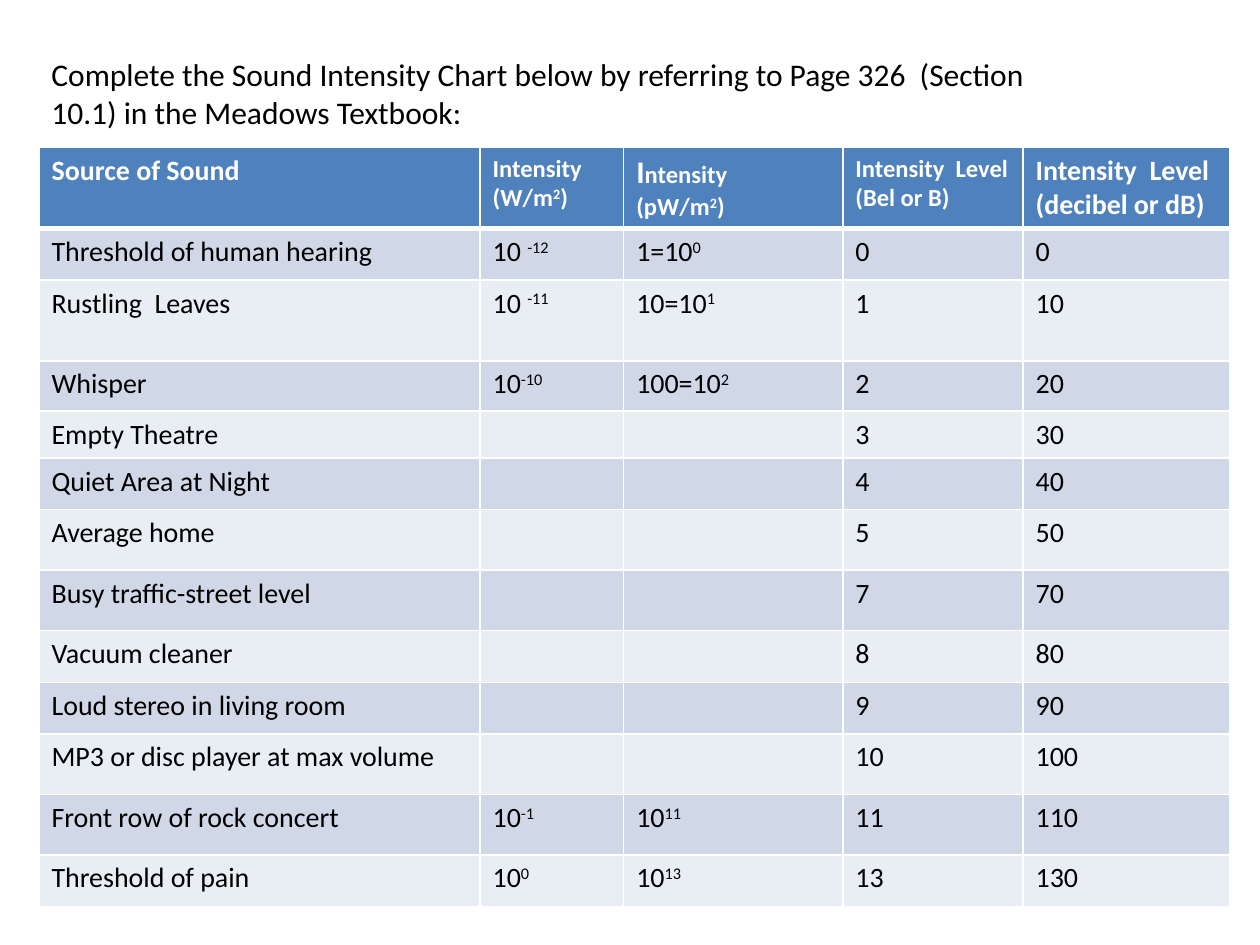
import dataclasses
import itertools
import lxml.etree
import pptx
import pptx.dml.color
import pptx.oxml.ns
import pptx.util

Inches = pptx.util.Inches
Pt = pptx.util.Pt
qn = pptx.oxml.ns.qn

FONT = "Calibri"
COLORS = {
    "white": "FFFFFF",
    "black": "000000",
    "head": "4F81BD",
    "odd": "D0D8E8",
    "even": "E9EDF4",
}


@dataclasses.dataclass
class Style:
    fill: str
    ink: str
    bold: bool
    base: float


@dataclasses.dataclass
class Source:
    name: str
    watts: str
    pico: str
    bel: int
    high: float

    def texts(self) -> list[str]:
        return [self.name, self.watts, self.pico, str(self.bel), str(self.bel * 10)]


HEADS = [
    ("Source of Sound", 16),
    ("Intensity\n(W/m^2^)", 14),
    ("I^^ntensity\n(pW/m^2^)", 14),
    ("Intensity  Level\n(Bel or B)", 14),
    ("Intensity  Level\n(decibel or dB)", 16),
]
WIDTHS = [3.5, 1.14, 1.74, 1.43, 1.64]
TOP = 0.61
SOUNDS = [
    Source("Threshold of human hearing", "10 ^-12", "1=10^0", 0, 0.41),
    Source("Rustling  Leaves", "10 ^-11", "10=10^1", 1, 0.64),
    Source("Whisper", "10^-10", "100=10^2", 2, 0.4),
    Source("Empty Theatre", "", "", 3, 0.34),
    Source("Quiet Area at Night", "", "", 4, 0.41),
    Source("Average home", "", "", 5, 0.48),
    Source("Busy traffic-street level", "", "", 7, 0.48),
    Source("Vacuum cleaner", "", "", 8, 0.41),
    Source("Loud stereo in living room", "", "", 9, 0.41),
    Source("MP3 or disc player at max volume", "", "", 10, 0.48),
    Source("Front row of rock concert", "10^-1", "10^11", 11, 0.48),
    Source("Threshold of pain", "10^0", "10^13", 13, 0.41),
]
HEAD = Style("head", "white", True, 3)
BANDS = [Style("odd", "black", False, 1), Style("even", "black", False, 1)]


def color(name: str) -> pptx.dml.color.RGBColor:
    return pptx.dml.color.RGBColor.from_string(COLORS[name])


def ink(run, size: float, name: str, bold: bool = False) -> None:
    run.font.name = FONT
    run.font.size = Pt(size)
    run.font.bold = bold
    run.font.color.rgb = color(name)


def border(cell, base: float) -> None:
    props = cell._tc.get_or_add_tcPr()
    for side, width in (("L", 1), ("R", 1), ("T", 1), ("B", base)):
        line = lxml.etree.SubElement(props, qn(f"a:ln{side}"), w=str(Pt(width)))
        solid = lxml.etree.SubElement(line, qn("a:solidFill"))
        lxml.etree.SubElement(solid, qn("a:srgbClr"), val=COLORS["white"])


def write(cell, text: str, size: float, style: Style) -> None:
    border(cell, style.base)
    cell.fill.solid()
    cell.fill.fore_color.rgb = color(style.fill)
    frame = cell.text_frame
    for row, line in enumerate(text.split("\n")):
        para = frame.add_paragraph() if row else frame.paragraphs[0]
        for part, raised in zip(line.split("^"), itertools.cycle((False, True))):
            if part:
                run = para.add_run()
                run.text = part
                ink(run, size, style.ink, style.bold)
                if raised:
                    run._r.get_or_add_rPr().set("baseline", "30000")
        if not line:
            lxml.etree.SubElement(para._p, qn("a:endParaRPr"), sz=str(size * 100))


def chart(slide) -> None:
    highs = [TOP] + [sound.high for sound in SOUNDS]
    frame = slide.shapes.add_table(
        len(highs), len(WIDTHS), Inches(0.31), Inches(1.17),
        Inches(sum(WIDTHS)), Inches(sum(highs)))
    table = frame.table
    for col, width in zip(table.columns, WIDTHS):
        col.width = Inches(width)
    for row, high in zip(table.rows, highs):
        row.height = Inches(high)
    for col, (text, size) in enumerate(HEADS):
        write(table.cell(0, col), text, size, HEAD)
    table.cell(0, 2).text_frame.paragraphs[0].runs[0].font.size = Pt(18)
    for row, sound in enumerate(SOUNDS):
        for col, text in enumerate(sound.texts()):
            write(table.cell(row + 1, col), text, 16, BANDS[row % 2])


def title(slide) -> None:
    box = slide.shapes.add_textbox(Inches(0.31), Inches(0.39), Inches(8.2), Inches(0.71))
    frame = box.text_frame
    frame.word_wrap = True
    frame.text = ("Complete the Sound Intensity Chart below by referring to "
                  "Page 326  (Section 10.1) in the Meadows Textbook:")
    ink(frame.paragraphs[0].runs[0], 18, "black")


def main() -> None:
    deck = pptx.Presentation()
    deck.slide_width = Inches(10)
    deck.slide_height = Inches(7.5)
    slide = deck.slides.add_slide(deck.slide_layouts[6])
    chart(slide)
    title(slide)
    deck.save("out.pptx")


if __name__ == "__main__":
    main()
